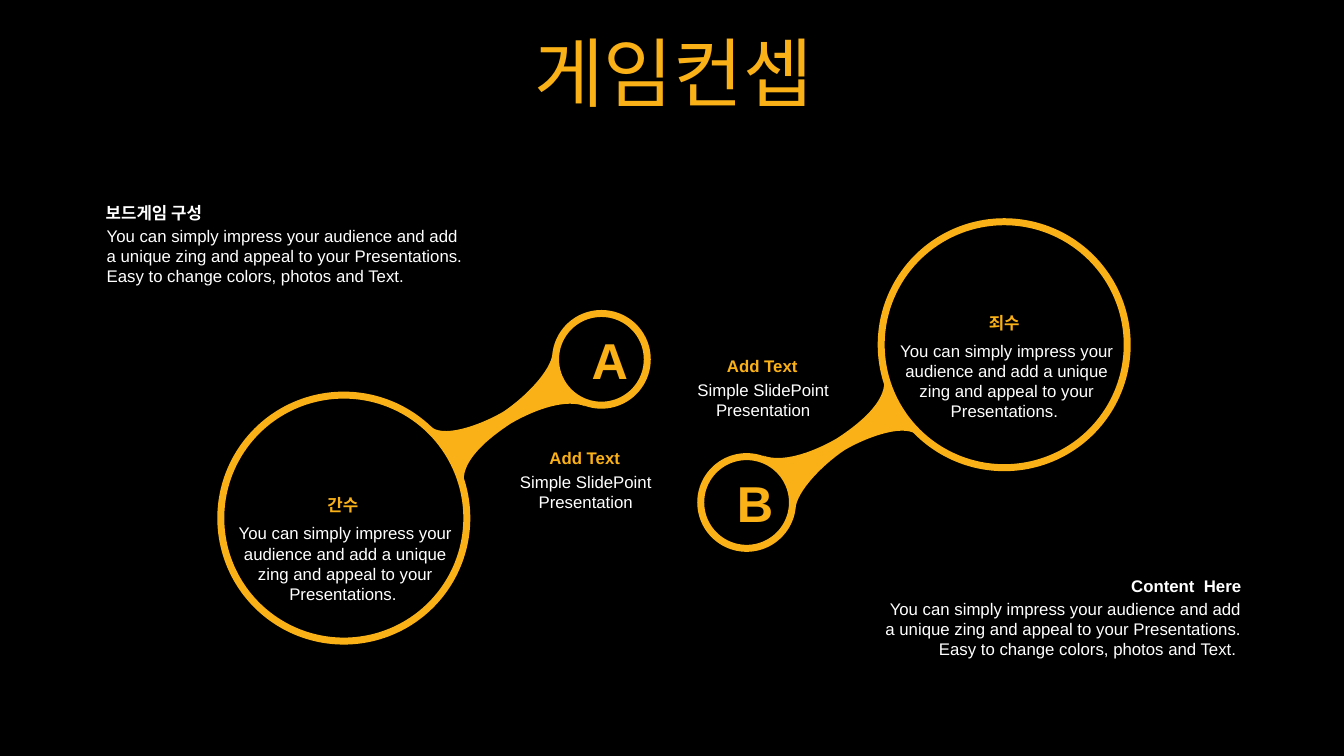
from dataclasses import dataclass
from lxml.etree import SubElement
from pptx import Presentation
from pptx.dml.color import RGBColor
from pptx.enum.shapes import MSO_SHAPE
from pptx.enum.text import MSO_ANCHOR, PP_ALIGN
from pptx.oxml.ns import qn
from pptx.util import Inches, Pt


@dataclass(frozen=True)
class Theme:
    """Hold the colours, font and sizes of the slide."""
    back: RGBColor = RGBColor(0, 0, 0)
    gold: RGBColor = RGBColor(0xFA, 0xB1, 0x17)
    white: RGBColor = RGBColor(255, 255, 255)
    font: str = "Arial"
    title: int = 54
    mark: int = 36
    text: int = 12
    line: int = 5


LOOK = Theme()
LEFT, MID, RIGHT = PP_ALIGN.LEFT, PP_ALIGN.CENTER, PP_ALIGN.RIGHT
BIG, SMALL = 2.44, 0.91
START = (3.29, 0.4)
CURVES = [
    [(3.31, 0.65), (3.41, 0.77), (3.61, 0.92)],
    [(3.43, 0.85), (3.14, 0.94), (2.88, 1.09)],
    [(2.65, 1.24), (2.4, 1.45), (2.41, 1.66)],
    [(2.09, 1.13)],
    [(2.24, 1.24), (2.63, 1.08), (2.81, 0.97)],
    [(3.03, 0.82), (3.27, 0.57), START],
]
PITCH = "You can simply impress your audience and add a unique zing and appeal to your Presentations. "
MORE = PITCH + "Easy to change colors, photos and Text."
SHORT = "Simple SlidePoint Presentation"


def write(slide, box, words, size, color, align=MID, bold=False, anchor=MSO_ANCHOR.TOP):
    """Put one paragraph in a text box and return the paragraph."""
    frame = slide.shapes.add_textbox(*map(Inches, box)).text_frame
    frame.word_wrap, frame.vertical_anchor = True, anchor
    para = frame.paragraphs[0]
    para.alignment = align
    run = para.add_run()
    run.text = words
    form = {"name": LOOK.font, "size": Pt(size), "bold": bold}
    for key, value in form.items():
        setattr(run.font, key, value)
    run.font.color.rgb = color
    return para


def title(slide, box, words):
    """Write the slide title in its box."""
    para = write(slide, box, words, LOOK.title, LOOK.gold, anchor=MSO_ANCHOR.MIDDLE)
    para.line_spacing = 0.9


def block(slide, box, head, body, color, align=MID, shift=(0.01, 0.24, 0)):
    """Write a bold heading with body text below it."""
    x, y, wide, high = box
    dx, dy, trim = shift
    lower = (x + dx, y + dy, wide - trim, high - dy)
    write(slide, lower, body, LOOK.text, LOOK.white, align)
    write(slide, (x, y, wide, 0.3), head, LOOK.text, color, align, True)


def ring(slide, x, y, size):
    """Draw a hollow circle."""
    shape = slide.shapes.add_shape(MSO_SHAPE.OVAL, *map(Inches, (x, y, size, size)))
    shape.shadow.inherit = False
    shape.fill.background()
    shape.line.color.rgb = LOOK.gold
    shape.line.width = Pt(LOOK.line)


def bend(shape, curves):
    """Turn the straight steps of an outline into Bezier curves."""
    steps = iter(list(shape.element.iter(qn("a:lnTo"))))
    for curve in curves:
        group = [next(steps) for _ in curve]
        if len(group) == 1:
            continue
        trail = group[0].getparent()
        arc = SubElement(trail, qn("a:cubicBezTo"))
        trail.replace(group[0], arc)
        for step in group:
            arc.append(step[0])
        for step in group[1:]:
            trail.remove(step)


def pair(slide, box, mark, turn=False):
    """Join a large and a small ring, half turned if asked."""
    x, y, wide, high = box

    def place(u, v, size=0):
        """Map a point or square into the box."""
        return (x + wide - u - size, y + high - v - size) if turn else (x + u, y + v)

    small = place(wide - SMALL, 0, SMALL)
    ring(slide, *place(0, high - BIG, BIG), BIG)
    ring(slide, *small, SMALL)
    knots = [START, *(knot for curve in CURVES for knot in curve)]
    points = [tuple(map(Inches, place(*knot))) for knot in knots]
    pen = slide.shapes.build_freeform(*points[0])
    pen.add_line_segments(points[1:], close=True)
    link = pen.convert_to_shape()
    bend(link, CURVES)
    link.shadow.inherit = False
    link.fill.solid()
    link.fill.fore_color.rgb = LOOK.gold
    link.line.fill.background()
    spot = (small[0] + 0.26, small[1] + 0.1, 0.41, 0.71)
    write(slide, spot, mark, LOOK.mark, LOOK.gold, bold=True, anchor=MSO_ANCHOR.MIDDLE)


def main():
    """Build and save the slide."""
    deck = Presentation()
    deck.slide_width, deck.slide_height = Inches(13.33), Inches(7.5)
    slide = deck.slides.add_slide(deck.slide_layouts[6])
    slide.background.fill.solid()
    slide.background.fill.fore_color.rgb = LOOK.back
    title(slide, (0.35, 0.37, 12.66, 0.79), "게임컨셉")
    pair(slide, (2.19, 3.11, 4.23, 3.25), "A")
    pair(slide, (6.95, 2.2, 4.23, 3.24), "B", True)
    for x, y, head in ((8.7, 3.05, "죄수"), (2.14, 4.86, "간수")):
        block(slide, (x, y, 2.52, 1.19), head, PITCH, LOOK.gold, shift=(0.04, 0.28, 0.03))
    for x, y in ((4.86, 4.39), (6.62, 3.48)):
        block(slide, (x, y, 1.88, 0.74), "Add Text", SHORT, LOOK.gold)
    notes = (
        (8.64, 5.66, "Content  Here", MORE + " ", RIGHT),
        (0.95, 1.96, "보드게임 구성", MORE, LEFT),
    )
    for x, y, head, body, align in notes:
        block(slide, (x, y, 3.77, 0.94), head, body, LOOK.white, align, (0.01, 0.23, 0.01))
    deck.save("out.pptx")


if __name__ == "__main__":
    main()
